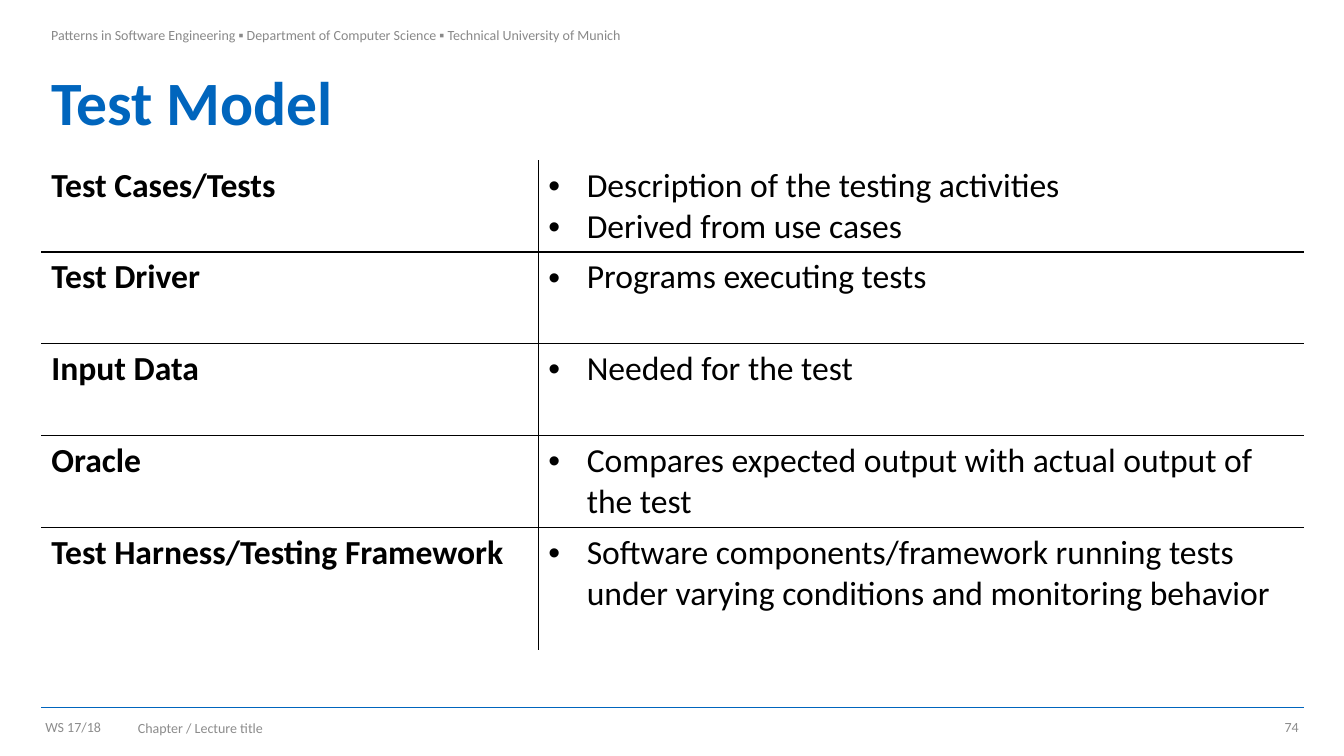
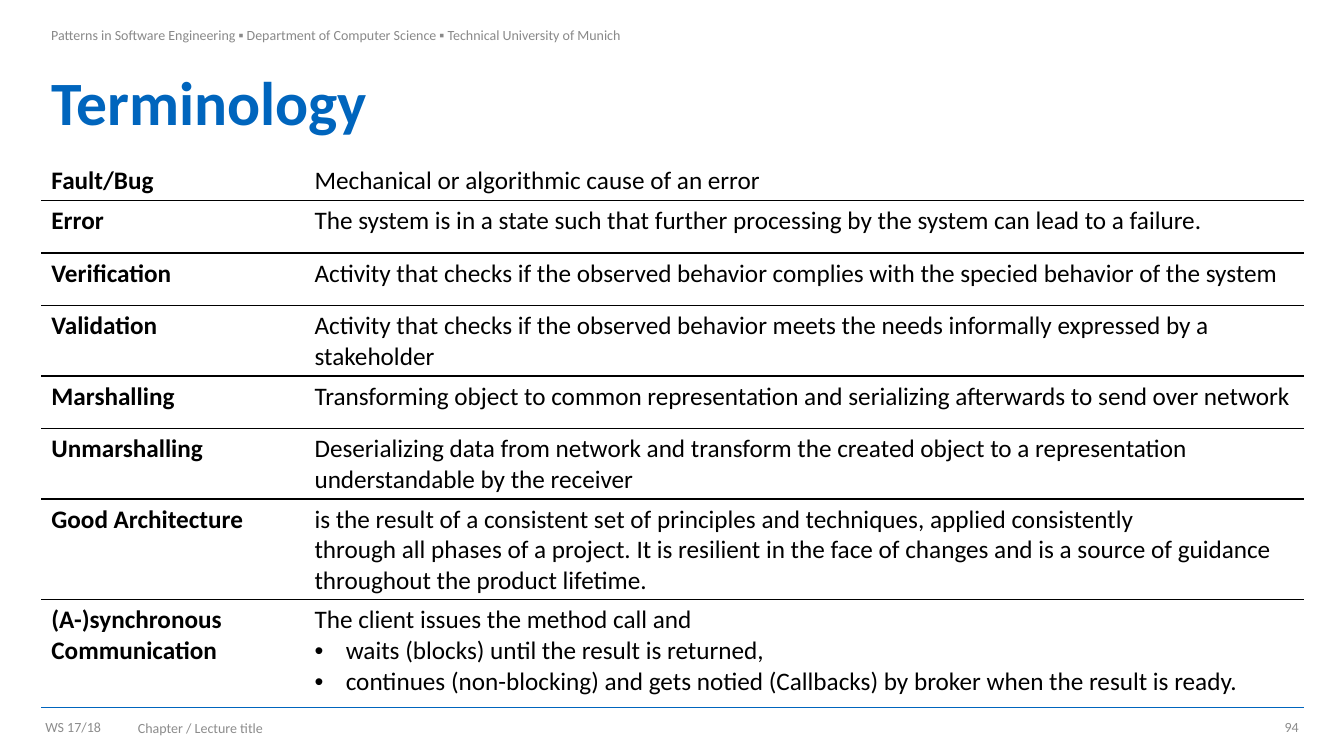
"""Build two lecture slides with a definition table each."""
from lxml.etree import SubElement
from pptx import Presentation
from pptx.dml.color import RGBColor
from pptx.enum.shapes import MSO_CONNECTOR
from pptx.enum.text import MSO_ANCHOR as ANCHOR, PP_ALIGN as ALIGN
from pptx.oxml import parse_xml
from pptx.oxml.ns import nsdecls, qn
from pptx.util import Pt

PX = 9144
LEFT, WIDTH = 41, 1252
FONT = "Calibri"
BLUE, BLACK, HEADER_GRAY, FOOTER_GRAY = "0065BD", "000000", "898989", "8C8C8C"
BULLET = "• "


def rgb(value):
    """Turn a hex string into a colour."""
    return RGBColor.from_string(value)


def write(frame, lines, size=10, color=BLACK, bold=False, align=ALIGN.LEFT,
          anchor=ANCHOR.TOP, insets=(10, 5, 10, 5), spacing=None, hang=0):
    """Fill a text frame or cell, hanging the lines that start with a bullet."""
    frame.margin_left, frame.margin_top, frame.margin_right, frame.margin_bottom = (
        inset * PX for inset in insets)
    frame.vertical_anchor = anchor
    text_frame = getattr(frame, "text_frame", frame)
    text_frame.word_wrap = True
    for index, line in enumerate(lines):
        paragraph = text_frame.add_paragraph() if index else text_frame.paragraphs[0]
        paragraph.alignment = align
        paragraph.line_spacing = spacing
        if line.startswith(BULLET):
            properties = paragraph._p.get_or_add_pPr()
            properties.set("marL", str(hang * PX))
            properties.set("indent", str(-hang * PX))
            SubElement(properties, qn("a:buFont"), typeface="Arial")
            SubElement(properties, qn("a:buChar"), char=BULLET.strip())
        run = paragraph.add_run()
        run.text = line.removeprefix(BULLET)
        run.font.name, run.font.size, run.font.bold = FONT, Pt(size), bold
        run.font.color.rgb = rgb(color)


slides = [
    dict(title="Test Model", number="74", size=24, hang=38, divider=True,
         columns=(493, 759), heights=(91, 91, 91, 91, 122), rows=[
             ("Test Cases/Tests", ["• Description of the testing activities",
                                   "• Derived from use cases"]),
             ("Test Driver", ["• Programs executing tests"]),
             ("Input Data", ["• Needed for the test"]),
             ("Oracle", ["• Compares expected output with actual output of the test"]),
             ("Test Harness/Testing Framework",
              ["• Software components/framework running tests under varying "
               "conditions and monitoring behavior"]),
         ]),
    dict(title="Terminology", number="94", size=18, hang=31, divider=False,
         columns=(261, 991), heights=(36, 52, 52, 63, 52, 63, 90, 97), rows=[
             ("Fault/Bug", ["Mechanical or algorithmic cause of an error"]),
             ("Error", ["The system is in a state such that further processing by "
                        "the system can lead to a failure."]),
             ("Verification", ["Activity that checks if the observed behavior complies "
                               "with the specied behavior of the system"]),
             ("Validation", ["Activity that checks if the observed behavior meets the "
                             "needs informally expressed by a stakeholder"]),
             ("Marshalling", ["Transforming object to common representation and "
                              "serializing afterwards to send over network"]),
             ("Unmarshalling", ["Deserializing data from network and transform the created "
                                "object to a representation understandable by the receiver"]),
             ("Good Architecture",
              ["is the result of a consistent set of principles and techniques, "
               "applied consistently",
               "through all phases of a project. It is resilient in the face of changes "
               "and is a source of guidance throughout the product lifetime."]),
             ("(A-)synchronous Communication",
              ["The client issues the method call and",
               "• waits (blocks) until the result is returned,",
               "• continues (non-blocking) and gets notied (Callbacks) by broker "
               "when the result is ready."]),
         ]),
]

presentation = Presentation()
presentation.slide_width, presentation.slide_height = 1333 * PX, 750 * PX

for content in slides:
    slide = presentation.slides.add_slide(presentation.slide_layouts[6])

    rule = slide.shapes.add_connector(
        MSO_CONNECTOR.STRAIGHT, LEFT * PX, 702 * PX, (LEFT + WIDTH) * PX, 702 * PX)
    rule.line.color.rgb, rule.line.width = rgb(BLUE), Pt(0.5)
    SubElement(rule._element.spPr, qn("a:effectLst"))

    footer = dict(color=FOOTER_GRAY, anchor=ANCHOR.MIDDLE)
    narrow = dict(footer, insets=(4, 5, 4, 5))
    for text, box, style in [
        ("Patterns in Software Engineering ▪ Department of Computer Science ▪ "
         "Technical University of Munich", (LEFT, 0, 627, 68),
         dict(color=HEADER_GRAY, insets=(10, 26, 10, 5))),
        (content["title"], (LEFT, 68, WIDTH, 74),
         dict(size=44, color=BLUE, bold=True, anchor=ANCHOR.MIDDLE, spacing=0.9)),
        ("WS 17/18", (LEFT, 710, 74, 23), narrow),
        (content["number"], (1233, 710, 59, 23), dict(narrow, align=ALIGN.RIGHT)),
        ("Chapter / Lecture title", (127, 710, 861, 24), footer),
    ]:
        text_box = slide.shapes.add_textbox(*(length * PX for length in box))
        write(text_box.text_frame, [text], **style)

    rows, heights = content["rows"], content["heights"]
    table = slide.shapes.add_table(
        len(rows), 2, LEFT * PX, 159 * PX, WIDTH * PX, sum(heights) * PX).table
    table.first_row = table.horz_banding = False
    for column, width in zip(table.columns, content["columns"]):
        column.width = width * PX
    for row_index, (term, definition) in enumerate(rows):
        table.rows[row_index].height = heights[row_index] * PX
        for column_index, lines in enumerate(([term], definition)):
            cell = table.cell(row_index, column_index)
            write(cell, lines, size=content["size"], bold=column_index == 0,
                  hang=content["hang"])
            cell.fill.background()
            borders = dict(
                lnL=content["divider"] and column_index == 1,
                lnR=content["divider"] and column_index == 0,
                lnT=row_index > 0,
                lnB=row_index < len(rows) - 1)
            for position, (side, visible) in enumerate(borders.items()):
                paint = (f'<a:solidFill><a:srgbClr val="{BLACK}"/></a:solidFill>'
                         if visible else "<a:noFill/>")
                border = parse_xml(
                    f'<a:{side} {nsdecls("a")} w="{Pt(1)}">{paint}</a:{side}>')
                cell._tc.get_or_add_tcPr().insert(position, border)

presentation.save("out.pptx")
